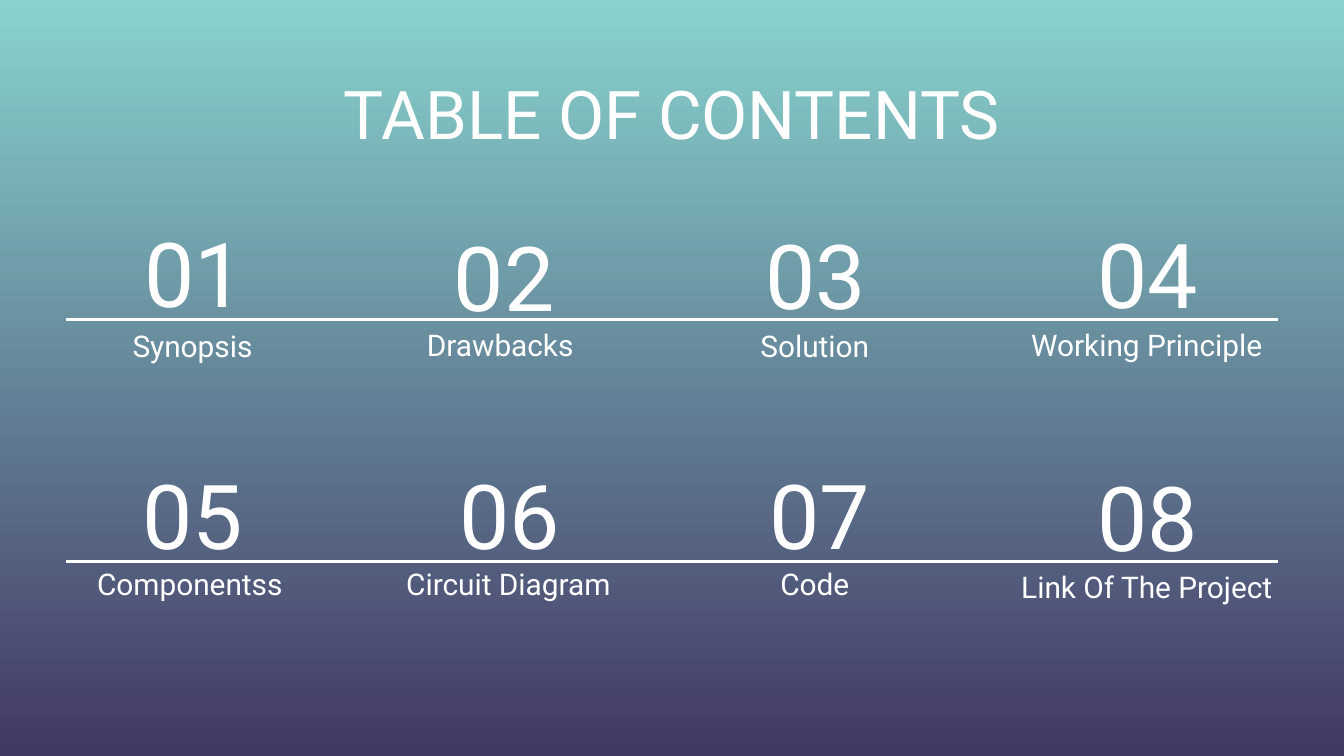
from dataclasses import dataclass

from lxml.etree import SubElement
from pptx import Presentation
from pptx.dml.color import RGBColor
from pptx.enum.shapes import MSO_CONNECTOR
from pptx.enum.text import MSO_ANCHOR, MSO_AUTO_SIZE, PP_ALIGN
from pptx.oxml.ns import qn
from pptx.util import Inches, Pt


@dataclass(frozen=True)
class Theme:
    font: str = "Roboto"
    text: RGBColor = RGBColor(0xFF, 0xFF, 0xFF)
    top: RGBColor = RGBColor(0x88, 0xD3, 0xCE)
    bottom: RGBColor = RGBColor(0x42, 0x38, 0x64)
    title_size: int = 36
    number_size: int = 48
    label_size: int = 16
    rule_width: float = 1.5


theme = Theme()
presentation = Presentation()
presentation.slide_width = Inches(10)
presentation.slide_height = presentation.slide_width * 9 // 16
title_only = presentation.slide_layouts[5]
slide = presentation.slides.add_slide(title_only)

# Square grid: the slide is 100 columns wide, and rows are as tall as columns.
UNIT = presentation.slide_width / 100


def put_text(text, *, left, top, width, height, size, anchor, shape=None):
    """Write centred text in the given shape, or in a new text box; lengths in grid units."""
    box = [round(length * UNIT) for length in (left, top, width, height)]
    if shape is None:
        shape = slide.shapes.add_textbox(*box)
    shape.left, shape.top, shape.width, shape.height = box
    frame = shape.text_frame
    frame.word_wrap = True
    frame.auto_size = MSO_AUTO_SIZE.NONE
    frame.vertical_anchor = anchor
    frame.margin_left = frame.margin_right = Inches(0.1)
    frame.margin_top = frame.margin_bottom = Inches(0.1)
    paragraph = frame.paragraphs[0]
    paragraph.alignment = PP_ALIGN.CENTER
    run = paragraph.add_run()
    run.text = text
    run.font.name = theme.font
    run.font.size = Pt(size)
    run.font.color.rgb = theme.text


# Background
fill = slide.background.fill
fill.gradient()
fill.gradient_angle = 270
for stop, color, position in zip(fill.gradient_stops, (theme.top, theme.bottom), (0, 1)):
    stop.color.rgb = color
    stop.position = position

put_text("TABLE OF CONTENTS", left=12.25, top=4.4, width=75.5, height=10.3,
         size=theme.title_size, anchor=MSO_ANCHOR.TOP, shape=slide.shapes.title)

# Each section: label, then left and top of its number, left and top of its label
rows = [
    (23.8, [("Synopsis ", 4.9, 17.05, 0.2, 21.75),
            ("Drawbacks ", 27.9, 17.35, 23.1, 21.65),
            ("Solution ", 51.1, 17.25, 46.5, 21.75),
            ("Working Principle ", 75.8, 17.15, 71.2, 21.7)]),
    (41.8, [("Componentss ", 4.75, 35.05, 0, 39.45),
            ("Circuit Diagram ", 28.3, 35.05, 23.7, 39.45),
            ("Code ", 51.4, 35.05, 46.5, 39.45),
            ("Link Of The Project ", 75.8, 35.2, 71.2, 39.65)]),
]
number = 0
for rule_top, sections in rows:
    rule = slide.shapes.add_connector(
        MSO_CONNECTOR.STRAIGHT,
        *(round(length * UNIT) for length in (4.9, rule_top, 95.1, rule_top)))
    rule.line.color.rgb = theme.text
    rule.line.width = Pt(theme.rule_width)
    SubElement(rule.element.spPr, qn("a:effectLst"))

    for label, number_left, number_top, label_left, label_top in sections:
        number += 1
        put_text(f"{number:02}", left=number_left, top=number_top, width=19.2, height=6.3,
                 size=theme.number_size, anchor=MSO_ANCHOR.MIDDLE)
        put_text(label, left=label_left, top=label_top, width=28.8, height=6.3,
                 size=theme.label_size, anchor=MSO_ANCHOR.BOTTOM)

presentation.save("out.pptx")
